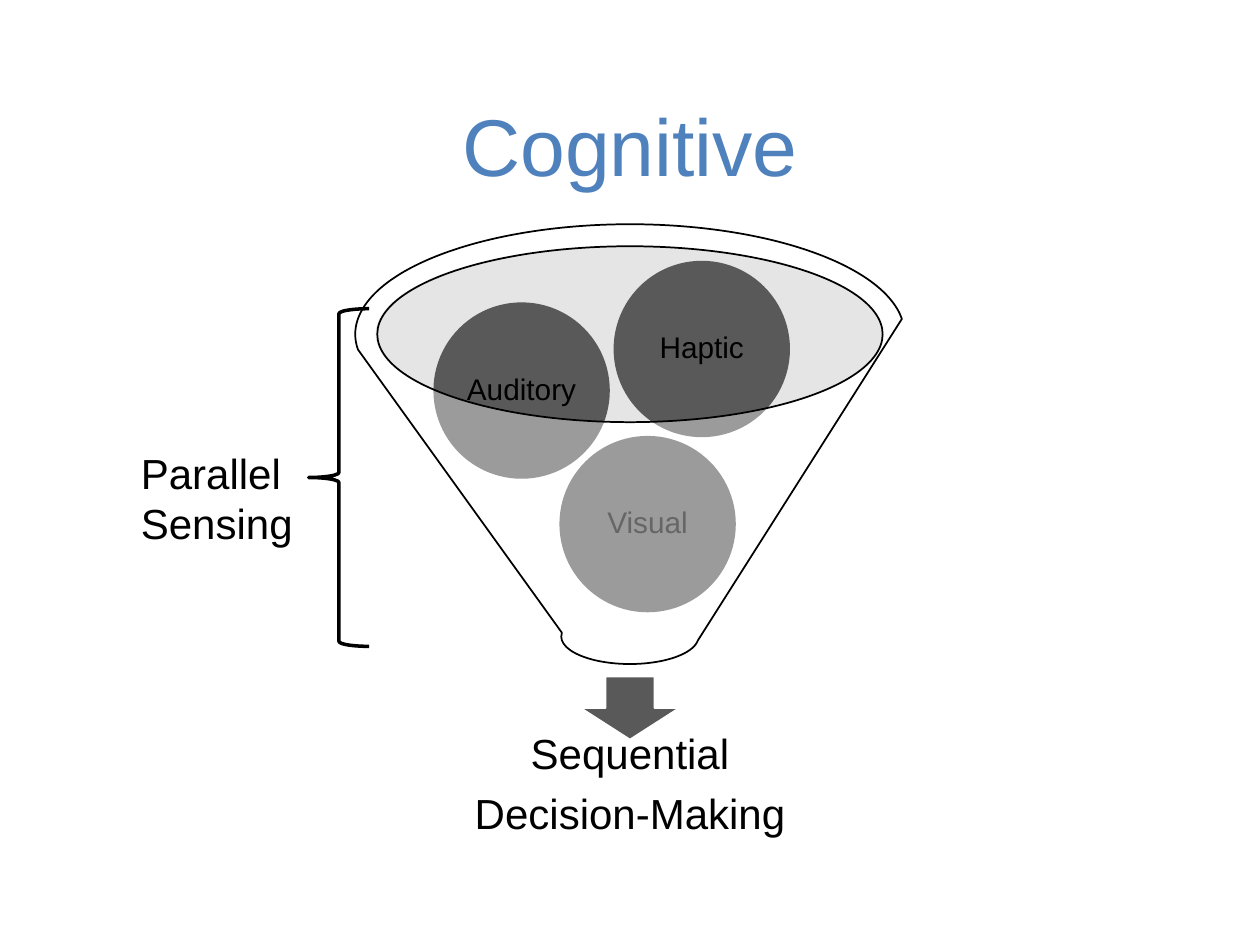
import pptx
import pptx.util
import pptx.dml.color
import pptx.enum.shapes
import pptx.enum.text
import pptx.oxml.ns
import lxml.etree

Inches = pptx.util.Inches
Pt = pptx.util.Pt
RGBColor = pptx.dml.color.RGBColor
MSO_SHAPE = pptx.enum.shapes.MSO_SHAPE
MSO_ANCHOR = pptx.enum.text.MSO_ANCHOR
PP_ALIGN = pptx.enum.text.PP_ALIGN

BLACK = RGBColor(0x00, 0x00, 0x00)
WHITE = RGBColor(0xFF, 0xFF, 0xFF)
BLUE = RGBColor(0x4F, 0x81, 0xBD)
DARK_GRAY = RGBColor(0x59, 0x59, 0x59)
LIGHT_GRAY = RGBColor(0xBF, 0xBF, 0xBF)

presentation = pptx.Presentation()
presentation.slide_width = Inches(10)
presentation.slide_height = Inches(7.5)
slide = presentation.slides.add_slide(presentation.slide_layouts[6])


def add_shape(preset, box, fill=None, opacity=100, line=None, line_width=1):
    shape = slide.shapes.add_shape(preset, *map(Inches, box))
    shape.shadow.inherit = False
    if fill is None:
        shape.fill.background()
    else:
        shape.fill.solid()
        shape.fill.fore_color.rgb = fill
        if opacity < 100:
            color = shape.fill._xPr.find(".//" + pptx.oxml.ns.qn("a:srgbClr"))
            alpha = lxml.etree.SubElement(color, pptx.oxml.ns.qn("a:alpha"))
            alpha.set("val", str(opacity * 1000))
    if line is None:
        shape.line.fill.background()
    else:
        shape.line.color.rgb = line
        shape.line.width = Pt(line_width)
    return shape


def write_text(shape, lines, size, color=BLACK, anchor=MSO_ANCHOR.MIDDLE,
               alignment=PP_ALIGN.CENTER, insets=(0.1, 0.05), line_spacing=None, space_after=0):
    frame = shape.text_frame
    frame.word_wrap = True
    frame.vertical_anchor = anchor
    frame.margin_left = frame.margin_right = Inches(insets[0])
    frame.margin_top = frame.margin_bottom = Inches(insets[1])
    frame.text = "\n".join(lines)
    for paragraph in frame.paragraphs:
        paragraph.alignment = alignment
        paragraph.line_spacing = line_spacing
        paragraph.space_after = Pt(space_after)
        paragraph.font.name = "Arial"
        paragraph.font.size = Pt(size)
        paragraph.font.color.rgb = color


title = slide.shapes.add_textbox(Inches(0.6), Inches(0.12), Inches(8.8), Inches(1.46))
write_text(title, ["Cognitive"], 46, BLUE, MSO_ANCHOR.BOTTOM)

add_shape(MSO_SHAPE.OVAL, (2.98, 1.95, 4.02, 1.4), LIGHT_GRAY, opacity=40)
add_shape(MSO_SHAPE.DOWN_ARROW, (4.61, 5.37, 0.78, 0.5), DARK_GRAY, line=WHITE)

outcome = slide.shapes.add_textbox(Inches(3.13), Inches(5.77), Inches(3.74), Inches(0.94))
write_text(outcome, ["Sequential", "Decision-Making"], 24, insets=(0.19, 0.19),
           line_spacing=0.9, space_after=8.4)

for sense, left, top in [("Visual", 4.44, 3.46), ("Auditory", 3.44, 2.4), ("Haptic", 4.87, 2.07)]:
    circle = add_shape(MSO_SHAPE.OVAL, (left, top, 1.4, 1.4), DARK_GRAY)
    write_text(circle, [sense], 17, insets=(0.02, 0.02), line_spacing=0.9, space_after=6)

add_shape(MSO_SHAPE.FUNNEL, (2.82, 1.78, 4.36, 3.49), WHITE, opacity=40, line=BLACK)

sensing = slide.shapes.add_textbox(Inches(1.02), Inches(3.5), Inches(1.46), Inches(0.91))
write_text(sensing, ["Parallel", "Sensing"], 24, anchor=MSO_ANCHOR.TOP, alignment=PP_ALIGN.LEFT)

brace = add_shape(MSO_SHAPE.LEFT_BRACE, (2.45, 2.45, 0.48, 2.68), line=BLACK, line_width=2)
brace.adjustments[0] = 0.083

presentation.save("out.pptx")
